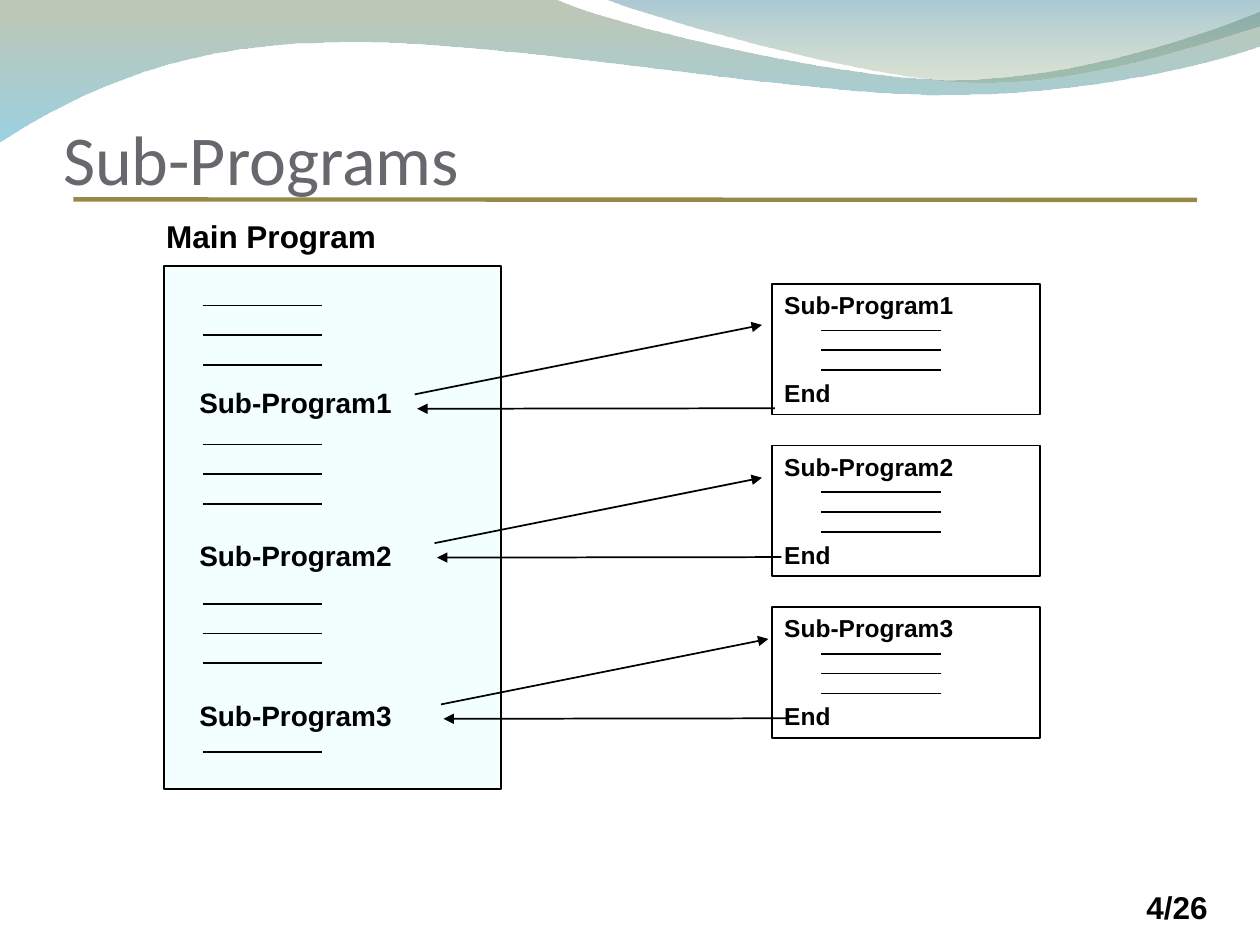
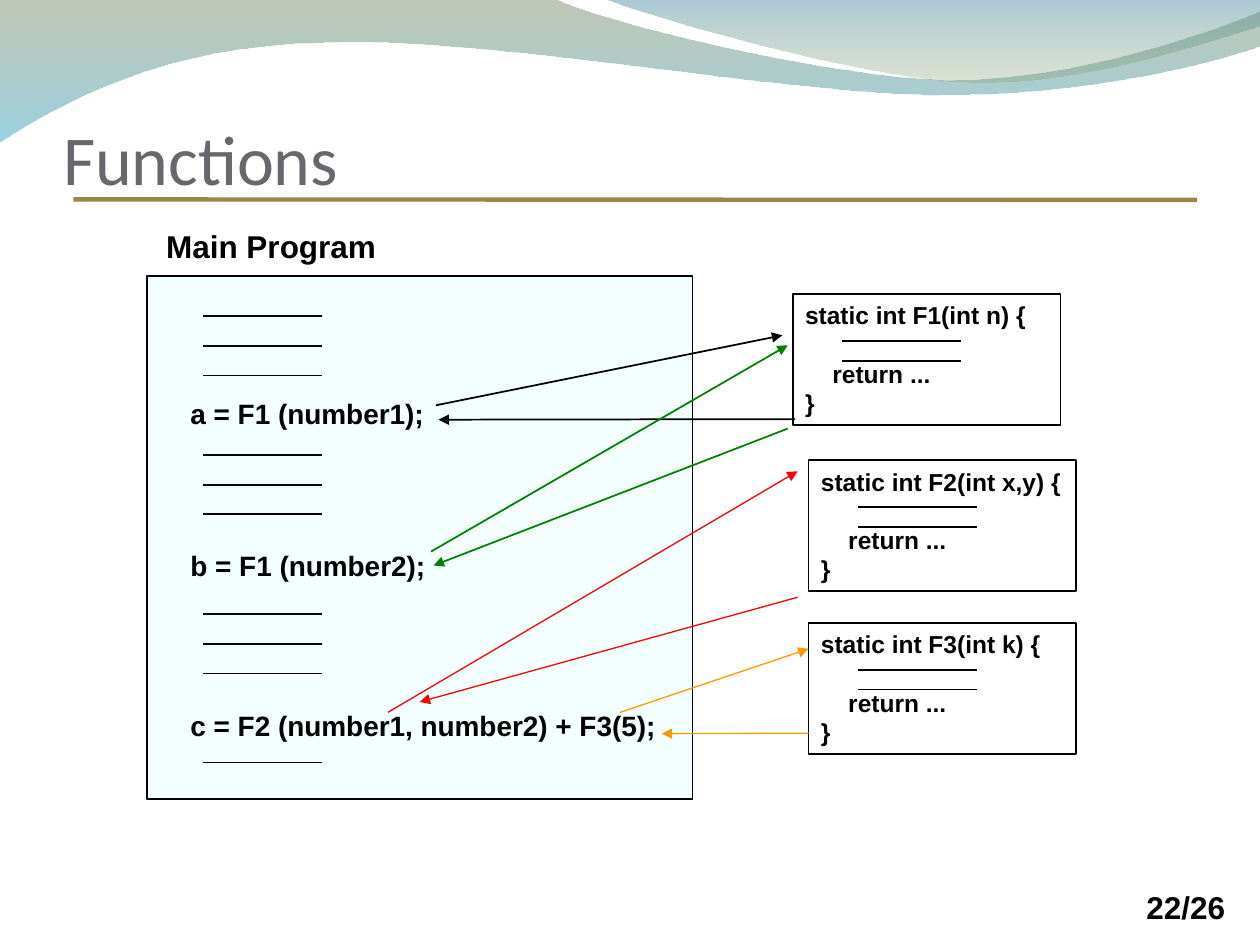
from lxml.etree import Element, SubElement
from pptx import Presentation
from pptx.dml.color import RGBColor
from pptx.enum.shapes import MSO_CONNECTOR, MSO_SHAPE
from pptx.enum.text import MSO_ANCHOR, PP_ALIGN
from pptx.oxml.ns import qn
from pptx.util import Cm, Pt

BLACK, GREEN, RED, ORANGE = "000000", "008000", "FF0000", "FF9900"
TITLE_GREY, RULE_GOLD, PALE_CYAN = "69676D", "988848", "F3FFFF"
BODY_FONT, TITLE_FONT = "Arial", "Calibri"

LEFT_WAVE = [
    [(0, -0.03)], [(11.18, -0.03)],
    [(12.09, 0.43), (16.87, 1.6), (19.25, 1.6)],
    [(21.67, 1.6), (24.33, 0.66), (25.4, 0.23)],
    [(25.43, 0.91)],
    [(24.97, 1.12), (22.1, 1.93), (18.95, 1.91)],
    [(15.8, 1.91), (9.7, 0.71), (6.53, 0.86)],
    [(3.28, 0.89), (1.17, 2.11), (-0.03, 2.87)],
]
RIGHT_WAVE = [
    [(12.17, -0.03)],
    [(12.93, 0.28), (17.32, 1.57), (19.53, 1.65)],
    [(21.74, 1.75), (24.41, 0.81), (25.4, 0.53)],
    [(25.4, 0)],
]


def rgb(value):
    """Turn a hex string into a colour."""
    return RGBColor.from_string(value)


def add_line(s, x1, y1, x2, y2, color=BLACK, width=1, arrow=False):
    """Draw a straight line, with an arrowhead at its end if asked."""
    line = s.shapes.add_connector(MSO_CONNECTOR.STRAIGHT, Cm(x1), Cm(y1), Cm(x2), Cm(y2))
    line.line.color.rgb = rgb(color)
    line.line.width = Pt(width)
    if arrow:
        SubElement(line.line._get_or_add_ln(), qn("a:tailEnd"), type="triangle")
    SubElement(line._element.spPr, qn("a:effectLst"))


def add_code_lines(s, x, y, count, step):
    """Draw equally spaced strokes that stand for program lines."""
    for i in range(count):
        add_line(s, x, y + i * step, x + 2.4, y + i * step)


def add_box(s, x, y, w, h, fill=None):
    """Draw a thin black rectangle whose text starts at the top."""
    sp = s.shapes.add_shape(MSO_SHAPE.RECTANGLE, Cm(x), Cm(y), Cm(w), Cm(h))
    sp.shadow.inherit = False
    sp.line.color.rgb = rgb(BLACK)
    sp.line.width = Pt(1)
    if fill:
        sp.fill.solid()
        sp.fill.fore_color.rgb = rgb(fill)
    else:
        sp.fill.background()
    sp.text_frame.vertical_anchor = MSO_ANCHOR.TOP
    return sp.text_frame


def write(tf, rows, size):
    """Write bold rows given as text, space before in points and indent in cm."""
    tf.word_wrap = True
    for i, (text, gap, indent) in enumerate(rows):
        p = tf.paragraphs[0] if i == 0 else tf.add_paragraph()
        p.text = text
        p.alignment = PP_ALIGN.LEFT
        if gap:
            p.space_before = Pt(gap)
        if indent:
            p._p.get_or_add_pPr().set("marL", str(Cm(indent)))
        p.font.name, p.font.size, p.font.bold = BODY_FONT, Pt(size), True
        p.font.color.rgb = rgb(BLACK)


def add_label(s, x, y, w, text):
    """Add a one-line bold text box."""
    write(s.shapes.add_textbox(Cm(x), Cm(y), Cm(w), Cm(1.02)).text_frame, [(text, 0, 0)], 18)


def bend(wave, segments):
    """Join the straight pieces of each three-point segment into one curve."""
    outline = next(wave._element.spPr.iter(qn("a:path")))
    pieces = iter(outline.findall(qn("a:lnTo")))
    for segment in segments[1:]:
        group = [next(pieces) for _ in segment]
        if len(group) == 3:
            curve = Element(qn("a:cubicBezTo"))
            group[0].addprevious(curve)
            for piece in group:
                curve.append(piece[0])
                outline.remove(piece)


def add_wave(s, segments, stops):
    """Draw a wave with a translucent vertical gradient."""
    points = [(Cm(x), Cm(y)) for segment in segments for x, y in segment]
    builder = s.shapes.build_freeform(*points[0])
    builder.add_line_segments(points[1:], close=True)
    wave = builder.convert_to_shape()
    bend(wave, segments)
    wave.shadow.inherit = False
    wave.line.fill.background()
    wave.fill.gradient()
    wave.fill.gradient_angle = 270
    for stop, (color, opacity) in zip(wave.fill.gradient_stops, stops):
        stop.color.rgb = rgb(color)
        clr = stop._gs.find(qn("a:srgbClr"))
        SubElement(clr, qn("a:alpha"), val=str(opacity * 1000))


def add_frame(prs, title, page):
    """Add a slide with waves, title, rule and page number."""
    s = prs.slides.add_slide(prs.slide_layouts[5])
    add_wave(s, LEFT_WAVE, [("72845C", 45), ("49ACCD", 55)])
    add_wave(s, RIGHT_WAVE, [("42869E", 45), ("8AA26C", 30)])
    add_line(s, 1.48, 4.02, 24.13, 4.03, RULE_GOLD, 2.5)
    add_label(s, 22.86, 17.78, 2.34, page)
    sp = s.shapes.title
    sp.left, sp.top, sp.width, sp.height = Cm(1.27), Cm(0.84), Cm(22.86), Cm(3.18)
    tf = sp.text_frame
    tf.text = title
    tf.vertical_anchor = MSO_ANCHOR.BOTTOM
    tf.margin_left = tf.margin_right = tf.margin_bottom = 0
    p = tf.paragraphs[0]
    p.alignment = PP_ALIGN.LEFT
    p.font.name, p.font.size = TITLE_FONT, Pt(40)
    p.font.color.rgb = rgb(TITLE_GREY)
    return s


def add_main_program(s, x, y, w, inset, calls):
    """Draw the main program with its three calls between code lines."""
    tf = add_box(s, x, y, w, 10.54, PALE_CYAN)
    tf.margin_left, tf.margin_top = Cm(inset), Cm(2.42)
    write(tf, [(call, gap, 0) for call, gap in zip(calls, (0, 68, 72.2))], 16)
    add_label(s, 3.1, y - 1.11, 5.41, "Main Program")
    for offset, count in ((0.8, 3), (3.6, 3), (6.81, 3), (9.8, 1)):
        add_code_lines(s, 4.1, y + offset, count, 0.6)


def add_subprogram(s, x, y, rows, line_count):
    """Draw a called routine with its code lines."""
    write(add_box(s, x, y, 5.4, 2.64), rows, 14)
    add_code_lines(s, x + 1, y + 0.94, line_count, 0.4)


def add_arrows(s, arrows):
    """Draw call and return arrows given as ends, colour and width."""
    for ends, color, width in arrows:
        add_line(s, *ends, color, width, arrow=True)


def build_subprograms(prs):
    """Build the slide on sub-programs."""
    s = add_frame(prs, "Sub-Programs", "4/26")
    names = [f"Sub-Program{n}" for n in (1, 2, 3)]
    add_main_program(s, 3.3, 5.36, 6.8, 0.72, names)
    for i, name in enumerate(names):
        add_subprogram(s, 15.56, 5.72 + i * 3.26, [(name, 0, 0), ("End", 33.5, 0)], 3)
    ends = [
        (8.36, 7.95, 15.36, 6.55), (15.62, 8.23, 8.41, 8.24),
        (8.76, 10.95, 15.36, 9.63), (15.75, 11.23, 8.81, 11.24),
        (8.89, 14.2, 15.49, 12.88), (15.9, 14.48, 8.94, 14.49),
    ]
    add_arrows(s, [(e, BLACK, 1) for e in ends])


def build_functions(prs):
    """Build the slide on functions."""
    s = add_frame(prs, "Functions", "22/26")
    add_main_program(s, 2.96, 5.57, 11, 0.88, [
        "a = F1 (number1);", "b = F1 (number2);", "c = F2 (number1, number2) + F3(5);"])
    for x, y, head in ((15.98, 5.93, "F1(int n)"), (16.3, 9.28, "F2(int x,y)"),
                       (16.3, 12.56, "F3(int k)")):
        rows = [(f"static int {head} {{", 0, 0), ("return ...", 16.6, 0.55), ("}", 0, 0)]
        add_subprogram(s, x, y, rows, 2)
    add_arrows(s, [
        ((8.79, 8.17, 15.77, 6.76), BLACK, 1), ((16.03, 8.45, 8.84, 8.46), BLACK, 1),
        ((8.69, 11.12, 15.88, 6.96), GREEN, 1), ((15.88, 8.64, 8.74, 11.4), GREEN, 1),
        ((7.82, 14.36, 16.08, 9.5), RED, 0.75), ((16.08, 12.04, 8.46, 14.15), RED, 0.75),
        ((12.5, 14.36, 16.3, 13.08), ORANGE, 0.75),
        ((16.3, 14.78, 13.34, 14.79), ORANGE, 0.75),
    ])


def main():
    """Build and save the presentation."""
    prs = Presentation()
    prs.slide_width, prs.slide_height = Cm(25.4), Cm(19.05)
    build_subprograms(prs)
    build_functions(prs)
    prs.save("out.pptx")


if __name__ == "__main__":
    main()
